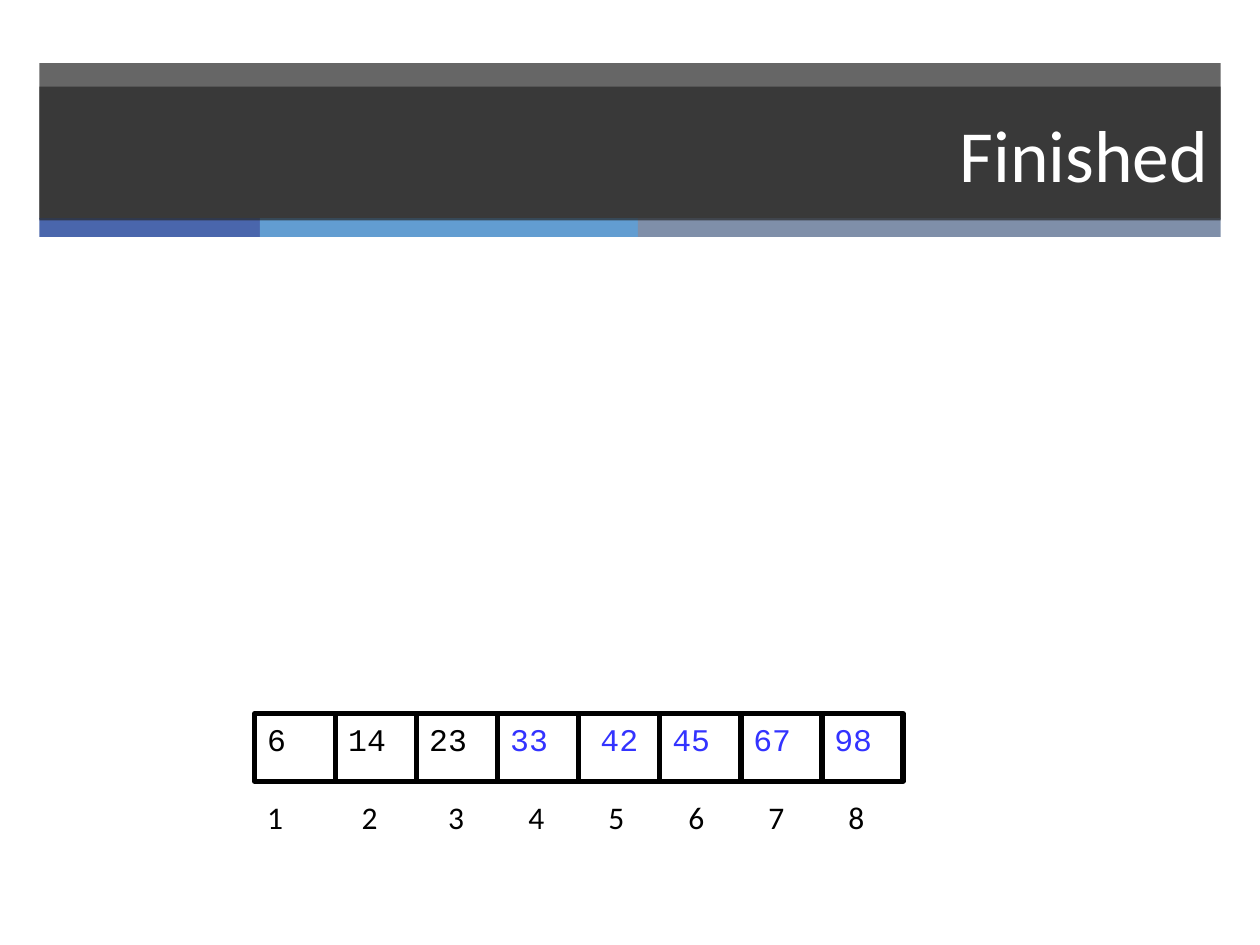
from lxml.etree import SubElement
from pptx import Presentation
from pptx.dml.color import RGBColor as RGB
from pptx.enum.shapes import MSO_SHAPE as Kind
from pptx.enum.text import MSO_ANCHOR as Anchor, PP_ALIGN as Align
from pptx.oxml.ns import qn
from pptx.util import Inches, Pt

COLORS = {
    "dark": "262626", "white": "FFFFFF", "black": "000000", "sorted": "3333FF",
    "navy": "4A66AC", "sky": "629DD1", "slate": "7F8FA9",
}
UNIT = Inches(1 / 16)  # the slide is 160 columns by 120 rows
CELLS = ["6", "14", "23", "33", "42", "45", "67", "98"]
LEFT, PITCH = 32.35, 10.29  # array start and cell width, in columns


def color(name):
    return RGB.from_string(COLORS[name])


def write(shape, text, font="Calibri", size=18, tint="black",
          align=Align.LEFT, anchor=Anchor.TOP, tabs=()):
    """Fill a shape with one paragraph; tabs are stops in columns."""
    frame = shape.text_frame
    frame.word_wrap = True
    frame.vertical_anchor = anchor
    para = frame.paragraphs[0]
    para.alignment = align
    if tabs:
        stops = SubElement(para._p.get_or_add_pPr(), qn("a:tabLst"))
        for stop in tabs:
            SubElement(stops, qn("a:tab"), pos=str(int(stop * UNIT)), algn="l")
    run = para.add_run()
    run.text = text
    run.font.name, run.font.size = font, Pt(size)
    run.font.color.rgb = color(tint)


class Board:
    def __init__(self, slide):
        self.slide = slide

    def rect(self, *box, fill=None, alpha=None, line=None):
        """Draw a rectangle at box: left, top, width, height in grid units."""
        shape = self.slide.shapes.add_shape(
            Kind.RECTANGLE, *(int(n * UNIT) for n in box))
        shape.shadow.inherit = False
        if fill:
            shape.fill.solid()
            shape.fill.fore_color.rgb = color(fill)
        else:
            shape.fill.background()
        if alpha:
            tone = shape.fill._xPr.find(qn("a:solidFill"))[0]
            SubElement(tone, qn("a:alpha"), val=str(alpha * 1000))
        if line:
            shape.line.color.rgb = color("black")
            shape.line.width = Pt(line)
        else:
            shape.line.fill.background()
        return shape

    def header(self, title):
        self.rect(5, 8, 150, 19.8, fill="dark", alpha=70)
        left = 5
        for fill, width in (("navy", 28), ("sky", 48), ("slate", 74)):
            self.rect(left, 27.7, width, 2.4, fill=fill)
            left += width
        band = self.rect(5, 11, 150, 17, fill="dark", alpha=70)
        write(band, title, size=42, tint="white",
              align=Align.RIGHT, anchor=Anchor.MIDDLE)

    def array(self, values):
        for i, value in enumerate(values):
            cell = self.rect(LEFT + i * PITCH, 90.6, PITCH, 8.6, line=3)
            write(cell, value, font="Courier New",
                  tint="black" if i < 3 else "sorted",
                  align=Align.CENTER if value == "42" else Align.LEFT)

    def index(self, count):
        box = self.slide.shapes.add_textbox(
            *(int(n * UNIT) for n in (LEFT, 100.6, count * PITCH, 6.4)))
        tabs = [12] + [23 + 10.16 * i for i in range(count - 2)]
        write(box, "\t".join(str(i + 1) for i in range(count)), tabs=tabs)


def main():
    deck = Presentation()
    deck.slide_width, deck.slide_height = 160 * UNIT, 120 * UNIT
    board = Board(deck.slides.add_slide(deck.slide_layouts[6]))
    board.header("Finished")
    board.array(CELLS)
    board.index(len(CELLS))
    deck.save("out.pptx")


if __name__ == "__main__":
    main()
